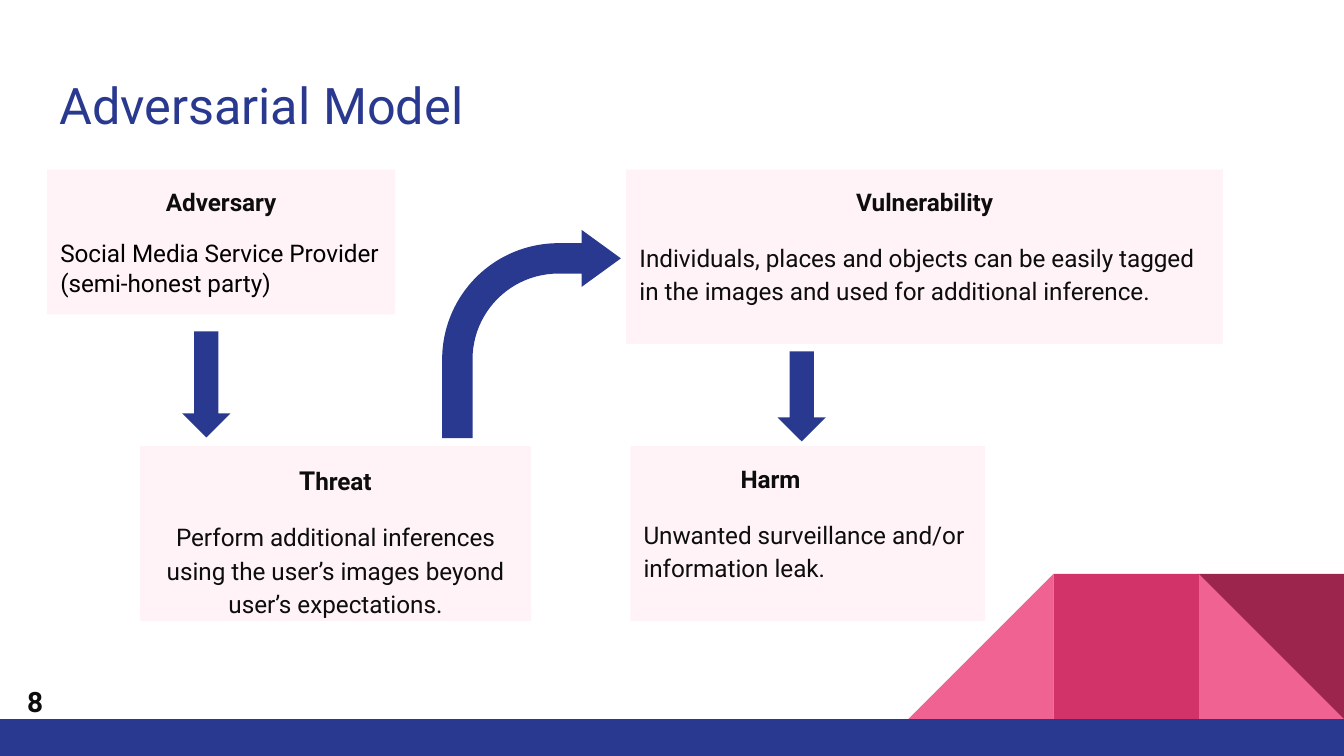
from dataclasses import dataclass

import lxml.etree
import pptx
import pptx.dml.color
import pptx.enum.shapes
import pptx.enum.text
import pptx.oxml.ns
import pptx.util

Inches = pptx.util.Inches
Pt = pptx.util.Pt
RGB = pptx.dml.color.RGBColor.from_string
SHAPE = pptx.enum.shapes.MSO_SHAPE
ALIGN = pptx.enum.text.PP_ALIGN
ANCHOR = pptx.enum.text.MSO_ANCHOR


@dataclass(frozen=True)
class Theme:
    font: str = "Roboto"
    blue: str = "2A3990"
    light_pink: str = "F06292"
    pink: str = "D23369"
    dark_pink: str = "9C254D"
    card: str = "FFF3F7"
    ink: str = "0D0D0D"
    black: str = "000000"
    title_size: float = 27
    number_size: float = 15
    initial_size: float = 14
    text_size: float = 13
    line_spacing: float = 1.15
    paragraph_gap: float = 12


THEME = Theme()


@dataclass(frozen=True)
class Box:
    left: float
    top: float
    width: float
    height: float

    def lengths(self) -> tuple:
        return tuple(Inches(v) for v in (self.left, self.top, self.width, self.height))


@dataclass(frozen=True)
class Card:
    box: Box
    heading: str
    lines: tuple[str, ...]
    body_color: str = THEME.ink
    body_align: ALIGN = ALIGN.LEFT
    body_spacing: float | None = THEME.line_spacing
    large_initial: bool = False


@dataclass(frozen=True)
class Arrow:
    kind: SHAPE
    box: Box
    adjustments: tuple[float, ...] = (0.5, 0.5)
    rotation: float = 90


CARDS = (
    Card(Box(0.35, 1.26, 2.59, 1.08), "Adversary",
         ("Social Media Service Provider", "(semi-honest party)"),
         body_color=THEME.black, body_spacing=None),
    Card(Box(1.04, 3.32, 2.91, 1.3), "Threat",
         ("Perform additional inferences using the user’s images beyond user’s expectations.",),
         body_align=ALIGN.CENTER, large_initial=True),
    Card(Box(4.66, 1.26, 4.44, 1.3), "Vulnerability",
         ("Individuals, places and objects can be easily tagged in the images "
          "and used for additional inference.",)),
    Card(Box(4.69, 3.32, 2.64, 1.3), "Harm\t",
         ("Unwanted surveillance and/or information leak.",)),
)

ARROWS = (
    Arrow(SHAPE.RIGHT_ARROW, Box(1.14, 2.68, 0.79, 0.36)),
    Arrow(SHAPE.BENT_ARROW, Box(3.29, 1.71, 1.33, 1.55), (0.17, 0.16, 0.22, 0.65), 0),
    Arrow(SHAPE.RIGHT_ARROW, Box(5.63, 2.77, 0.67, 0.36)),
)


def add_filled(slide, kind: SHAPE, box: Box, color: str, rotation: float = 0):
    sp = slide.shapes.add_shape(kind, *box.lengths())
    sp.shadow.inherit = False
    sp.fill.solid()
    sp.fill.fore_color.rgb = RGB(color)
    sp.line.fill.background()
    sp.rotation = rotation
    return sp


def set_frame(tf, anchor: ANCHOR) -> None:
    tf.word_wrap = True
    tf.auto_size = pptx.enum.text.MSO_AUTO_SIZE.NONE
    tf.vertical_anchor = anchor
    tf.margin_left = tf.margin_right = tf.margin_top = tf.margin_bottom = Inches(0.1)


def add_tab_stop(p, position: float) -> None:
    qn = pptx.oxml.ns.qn
    tabs = lxml.etree.SubElement(p._p.get_or_add_pPr(), qn("a:tabLst"))
    lxml.etree.SubElement(tabs, qn("a:tab"), pos=str(Inches(position)), algn="l")


def add_run(p, text: str, size: float, color: str, bold: bool = False) -> None:
    r = p.add_run()
    r.text = text
    r.font.name = THEME.font
    r.font.size = Pt(size)
    r.font.bold = bold
    r.font.color.rgb = RGB(color)


def draw_decoration(slide) -> None:
    side, top = 1.08, 4.27
    left, middle, right = (Box(6.76 + i * side, top, side, side) for i in range(3))
    add_filled(slide, SHAPE.RIGHT_TRIANGLE, right, THEME.light_pink)
    mirrored = add_filled(slide, SHAPE.RIGHT_TRIANGLE, left, THEME.light_pink)
    mirrored.element.spPr.xfrm.set("flipH", "1")
    add_filled(slide, SHAPE.RECTANGLE, middle, THEME.pink)
    add_filled(slide, SHAPE.RIGHT_TRIANGLE, right, THEME.dark_pink, 180)
    add_filled(slide, SHAPE.RECTANGLE, Box(0, top + side, 10, 0.28), THEME.blue)


def draw_title(slide, text: str) -> None:
    s = slide.shapes.title
    s.left, s.top, s.width, s.height = Box(0.34, 0.45, 9.32, 0.66).lengths()
    set_frame(s.text_frame, ANCHOR.TOP)
    p = s.text_frame.paragraphs[0]
    p.alignment = ALIGN.LEFT
    add_run(p, text, THEME.title_size, THEME.blue)


def draw_number(slide, text: str) -> None:
    s = slide.shapes.add_textbox(*Box(-0.18, 5, 0.6, 0.43).lengths())
    set_frame(s.text_frame, ANCHOR.MIDDLE)
    p = s.text_frame.paragraphs[0]
    p.alignment = ALIGN.RIGHT
    add_run(p, text, THEME.number_size, THEME.ink, bold=True)


def draw_card(slide, card: Card) -> None:
    tf = add_filled(slide, SHAPE.RECTANGLE, card.box, THEME.card).text_frame
    set_frame(tf, ANCHOR.TOP)
    p = tf.paragraphs[0]
    p.alignment = ALIGN.CENTER
    p.line_spacing = THEME.line_spacing
    heading = card.heading
    if "\t" in heading:
        add_tab_stop(p, 1)
    if card.large_initial:
        add_run(p, heading[0], THEME.initial_size, THEME.ink, bold=True)
        heading = heading[1:]
    add_run(p, heading, THEME.text_size, THEME.ink, bold=True)
    for i, line in enumerate(card.lines):
        p = tf.add_paragraph()
        p.alignment = card.body_align
        p.line_spacing = card.body_spacing
        p.space_before = Pt(0 if i else THEME.paragraph_gap)
        add_run(p, line, THEME.text_size, card.body_color)


def draw_arrow(slide, arrow: Arrow) -> None:
    sp = add_filled(slide, arrow.kind, arrow.box, THEME.blue, arrow.rotation)
    for i, value in enumerate(arrow.adjustments):
        sp.adjustments[i] = value


def main() -> None:
    prs = pptx.Presentation()
    prs.slide_width = Inches(10)
    prs.slide_height = prs.slide_width * 9 // 16
    slide = prs.slides.add_slide(prs.slide_layouts.get_by_name("Title Only"))
    draw_decoration(slide)
    draw_title(slide, "Adversarial Model")
    draw_number(slide, "8")
    for card in CARDS:
        draw_card(slide, card)
    for arrow in ARROWS:
        draw_arrow(slide, arrow)
    prs.save("out.pptx")


if __name__ == "__main__":
    main()
